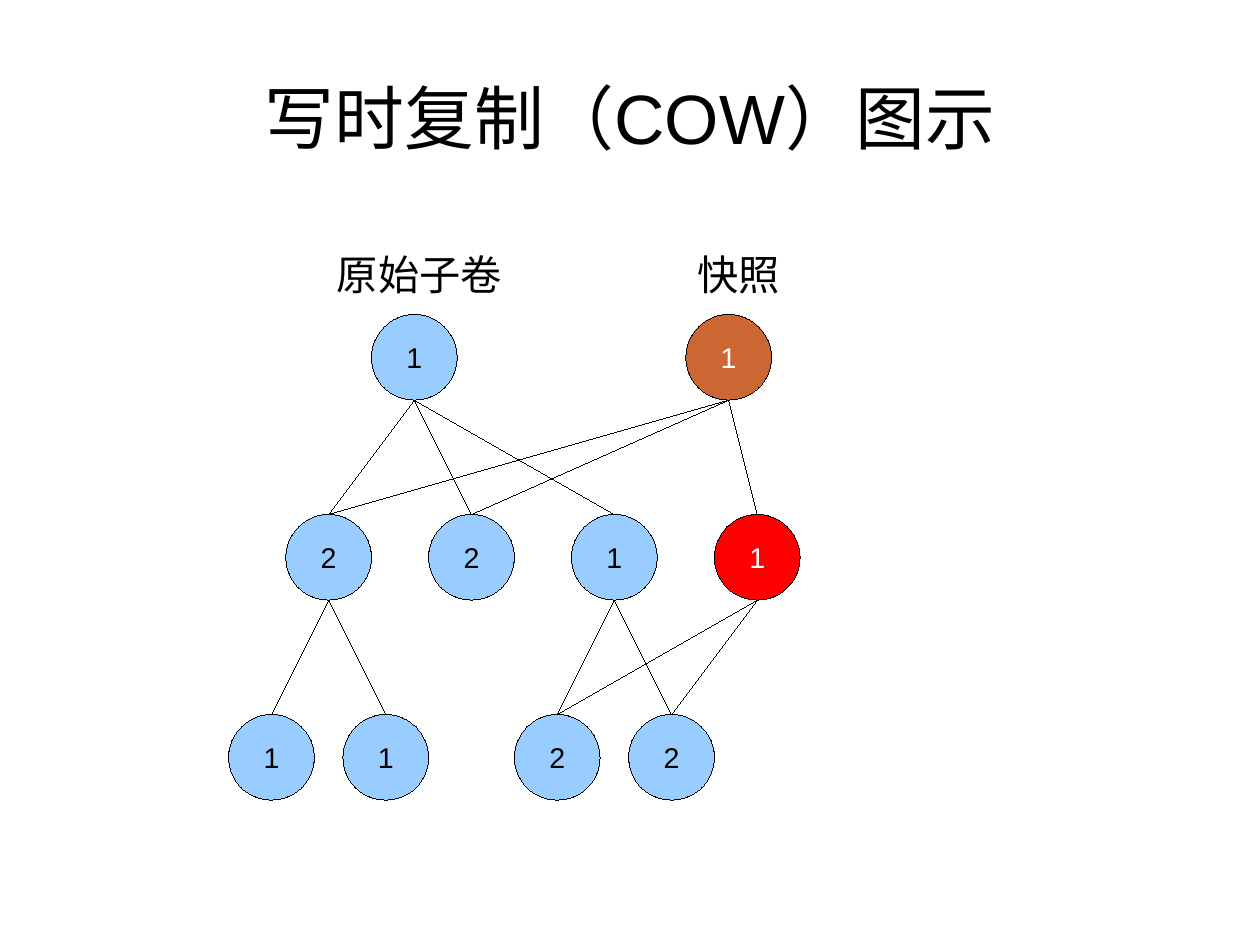
from lxml import etree
from pptx import Presentation
from pptx.dml.color import RGBColor
from pptx.enum.shapes import MSO_CONNECTOR, MSO_SHAPE
from pptx.enum.text import MSO_ANCHOR, MSO_AUTO_SIZE, PP_ALIGN
from pptx.oxml.ns import qn
from pptx.util import Cm, Inches, Pt

ELLIPSE, STRAIGHT = MSO_SHAPE.OVAL, MSO_CONNECTOR.STRAIGHT
CENTER, LEFT, MIDDLE = PP_ALIGN.CENTER, PP_ALIGN.LEFT, MSO_ANCHOR.MIDDLE
FIT_SHAPE = MSO_AUTO_SIZE.SHAPE_TO_FIT_TEXT

BLACK = RGBColor(0x00, 0x00, 0x00)
WHITE = RGBColor(0xFF, 0xFF, 0xFF)
BLUE = RGBColor(0x99, 0xCC, 0xFF)
BROWN = RGBColor(0xCC, 0x66, 0x33)
RED = RGBColor(0xFF, 0x00, 0x00)

FONT = "Arial"
CELL = Inches(0.25)
DIAMETER = 3 * CELL

# name: (column, row, reference count, fill, text colour)
NODES = {
    "origin": (5, 0, "1", BLUE, BLACK),
    "snapshot": (16, 0, "1", BROWN, WHITE),
    "shared_a": (2, 7, "2", BLUE, BLACK),
    "shared_b": (7, 7, "2", BLUE, BLACK),
    "old": (12, 7, "1", BLUE, BLACK),
    "new": (17, 7, "1", RED, WHITE),
    "leaf_a": (0, 14, "1", BLUE, BLACK),
    "leaf_b": (4, 14, "1", BLUE, BLACK),
    "leaf_c": (10, 14, "2", BLUE, BLACK),
    "leaf_d": (14, 14, "2", BLUE, BLACK),
}
CHILDREN = {
    "origin": ("shared_a", "shared_b", "old"),
    "snapshot": ("shared_a", "shared_b", "new"),
    "shared_a": ("leaf_a", "leaf_b"),
    "old": ("leaf_c", "leaf_d"),
    "new": ("leaf_c", "leaf_d"),
}


def write(tf, text, size, color, align):
    """Fill a text frame with one formatted paragraph."""
    p = tf.paragraphs[0]
    p.text = text
    p.alignment = align
    p.font.name = FONT
    p.font.size = Pt(size)
    p.font.color.rgb = color


def set_hairline(sp):
    """Give a shape or connector a black hairline free of theme styling."""
    sp._element.remove(sp._element.find(qn("p:style")))
    sp.line.color.rgb = BLACK
    sp.line.width = Pt(0)


def add_title(s, text, left, top, width, height):
    """Place the slide title in the given box."""
    sp = s.shapes.title
    sp.left, sp.top, sp.width, sp.height = left, top, width, height
    tf = sp.text_frame
    tf.margin_left = tf.margin_right = tf.margin_top = tf.margin_bottom = 0
    tf.vertical_anchor = MIDDLE
    tf.auto_size = FIT_SHAPE
    write(tf, text, 44, BLACK, CENTER)


def add_label(s, text, left, top, width, height):
    """Add a heading above a tree root."""
    tf = s.shapes.add_textbox(left, top, width, height).text_frame
    tf.word_wrap = False
    tf.auto_size = FIT_SHAPE
    write(tf, text, 26, BLACK, LEFT)


def add_node(s, left, top, count, fill, color):
    """Add a round tree node showing its reference count."""
    sp = s.shapes.add_shape(ELLIPSE, left, top, DIAMETER, DIAMETER)
    sp.fill.solid()
    sp.fill.fore_color.rgb = fill
    set_hairline(sp)
    sp.shadow.inherit = False
    sp.text_frame.vertical_anchor = MIDDLE
    write(sp.text_frame, count, 18, color, CENTER)
    return sp


def add_edge(s, parent, child):
    """Draw a line from the bottom of a parent to the top of a child."""
    radius = DIAMETER // 2
    cxn = s.shapes.add_connector(
        STRAIGHT, parent.left + radius, parent.top + DIAMETER,
        child.left + radius, child.top)
    set_hairline(cxn)
    etree.SubElement(cxn._element.spPr, qn("a:effectLst"))


def add_trees(s, left, top):
    """Draw both trees on a grid that starts at the given corner."""
    nodes = {
        name: add_node(s, left + col * CELL, top + row * CELL, *look)
        for name, (col, row, *look) in NODES.items()
    }
    for parent, children in CHILDREN.items():
        for child in children:
            add_edge(s, nodes[parent], nodes[child])
    height = Inches(0.62)
    add_label(s, "原始子卷", left + Inches(0.85), top - height, Inches(1.66), height)
    add_label(s, "快照", left + 16 * CELL, top - height, Inches(0.92), height)


def main():
    """Build the slide and save it."""
    prs = Presentation()
    prs.slide_width, prs.slide_height = Cm(28), Cm(21)
    s = prs.slides.add_slide(prs.slide_layouts[5])
    margin = Inches(0.55)
    add_title(s, "写时复制（COW）图示", margin, Inches(0.33),
              prs.slide_width - 2 * margin, Inches(1.38))
    add_trees(s, Inches(2), Inches(2.75))
    prs.save("out.pptx")


if __name__ == "__main__":
    main()
